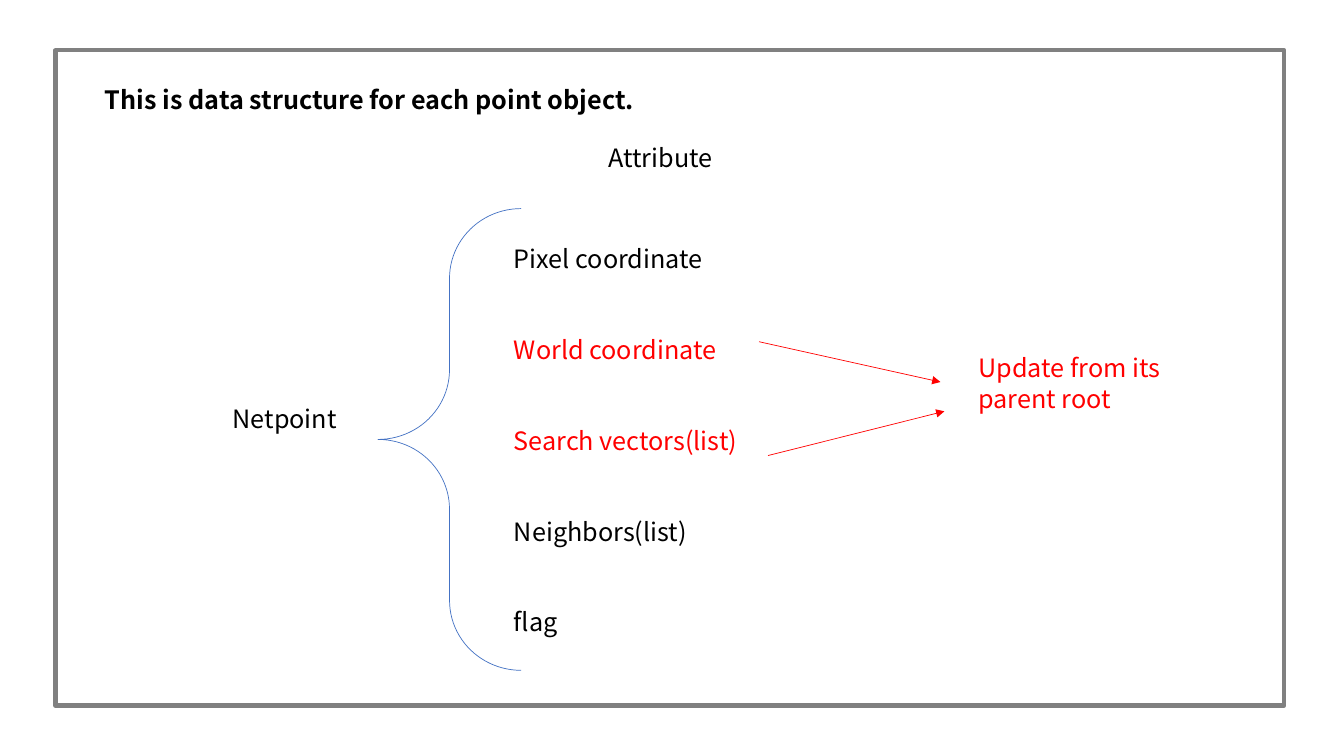
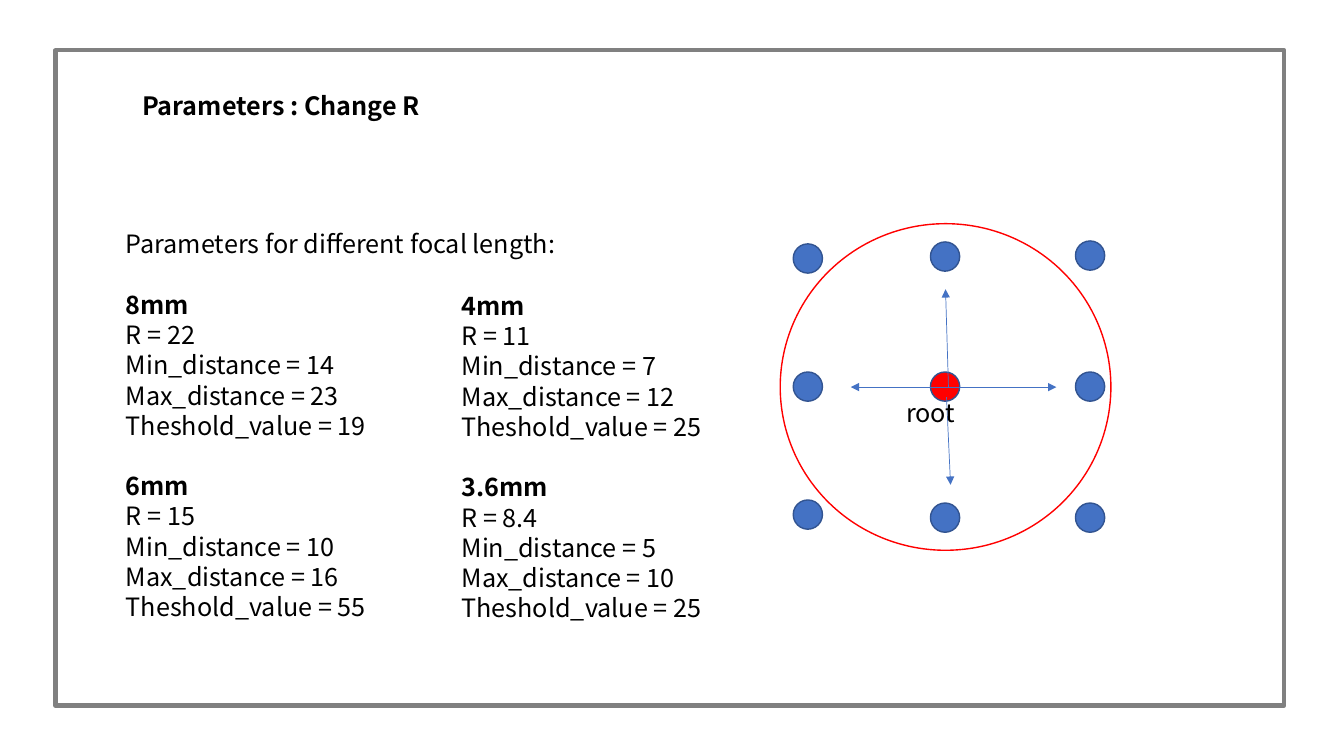
import pptx
import pptx.dml.color
import pptx.enum.shapes
import pptx.enum.text
import pptx.oxml.ns
import pptx.util
from dataclasses import dataclass
from lxml import etree

Pt = pptx.util.Pt
RGBColor = pptx.dml.color.RGBColor
Preset = pptx.enum.shapes.MSO_SHAPE

BLACK = RGBColor(0x00, 0x00, 0x00)
RED = RGBColor(0xFF, 0x00, 0x00)
BLUE = RGBColor(0x44, 0x72, 0xC4)
DARK_BLUE = RGBColor(0x32, 0x54, 0x91)
GRAY = RGBColor(0x80, 0x80, 0x80)

FONT = "Noto Sans CJK SC"
TEXT_SIZE = 18
LINE_HEIGHT = 21.6
TITLE_HEIGHT = 28.8
DOT_SIZE = 20.9
PARAMETER_NAMES = ("R", "Min_distance", "Max_distance", "Theshold_value")


@dataclass
class Line:
    text: str
    color: RGBColor = BLACK
    bold: bool = False
    gap: float = 0


class Deck:
    def __init__(self):
        self.presentation = pptx.Presentation()
        self.presentation.slide_width = Pt(960)
        self.presentation.slide_height = Pt(540)
        self.shapes = None

    def add_slide(self, title, left, top, width):
        layout = self.presentation.slide_layouts[5]
        slide = self.presentation.slides.add_slide(layout)
        self.shapes = slide.shapes
        placeholder = slide.shapes.title
        placeholder.left, placeholder.top = Pt(left), Pt(top)
        placeholder.width, placeholder.height = Pt(width), Pt(TITLE_HEIGHT)
        self.fill_text(placeholder.text_frame, [Line(title, bold=True)])
        self.add_shape(Preset.RECTANGLE, 39.6, 36, 877.7, 468, GRAY, 3)
        return slide

    def start_group(self):
        self.shapes = self.shapes.add_group_shape().shapes

    def fill_text(self, text_frame, lines):
        text_frame.word_wrap = True
        text_frame.auto_size = pptx.enum.text.MSO_AUTO_SIZE.SHAPE_TO_FIT_TEXT
        text_frame.vertical_anchor = pptx.enum.text.MSO_ANCHOR.TOP
        text_frame.text = "\n".join(line.text for line in lines)
        for paragraph, line in zip(text_frame.paragraphs, lines):
            paragraph.alignment = pptx.enum.text.PP_ALIGN.LEFT
            paragraph.line_spacing = Pt(LINE_HEIGHT)
            paragraph.space_before = Pt(line.gap)
            for run in paragraph.runs:
                run.font.name = FONT
                run.font.size = Pt(TEXT_SIZE)
                run.font.bold = line.bold
                run.font.color.rgb = line.color

    def add_text(self, left, top, width, height, *lines):
        box = self.shapes.add_textbox(Pt(left), Pt(top), Pt(width), Pt(height))
        self.fill_text(box.text_frame, lines)

    def add_shape(self, preset, left, top, width, height, line_color, line_width, fill=None):
        shape = self.shapes.add_shape(preset, Pt(left), Pt(top), Pt(width), Pt(height))
        shape.shadow.inherit = False
        shape.line.color.rgb = line_color
        shape.line.width = Pt(line_width)
        if fill is None:
            shape.fill.background()
        else:
            shape.fill.solid()
            shape.fill.fore_color.rgb = fill
        return shape

    def add_arrow(self, start, end, color):
        connector = self.shapes.add_connector(
            pptx.enum.shapes.MSO_CONNECTOR.STRAIGHT, *map(Pt, start + end))
        connector.line.color.rgb = color
        connector.line.width = Pt(0.5)
        qn = pptx.oxml.ns.qn
        properties = connector.element.find(qn("p:spPr"))
        etree.SubElement(properties.find(qn("a:ln")), qn("a:tailEnd"), type="triangle")
        etree.SubElement(properties, qn("a:effectLst"))


def lens_lines(name, values, gap=0):
    settings = [Line(f"{label} = {value}") for label, value in zip(PARAMETER_NAMES, values)]
    return [Line(name, bold=True, gap=gap)] + settings


def build_data_structure(deck):
    deck.add_slide("This is data structure for each point object.", 67.7, 56.9, 455)
    brace = deck.add_shape(Preset.LEFT_BRACE, 270, 149, 102.2, 329.8, BLUE, 0.5)
    brace.adjustments[0] = 0.488
    deck.add_text(159.1, 284.4, 95.8, 28.8, Line("Netpoint"))
    deck.add_text(427.7, 97.9, 95.8, 28.8, Line("Attribute"))
    gap = 2 * LINE_HEIGHT
    deck.add_text(
        360, 170.6, 248.4, 290.9,
        Line("Pixel coordinate"),
        Line("World coordinate", RED, gap=gap),
        Line("Search vectors(list)", RED, gap=gap),
        Line("Neighbors(list)", gap=gap),
        Line("flag", gap=gap))
    deck.add_text(691.9, 248.4, 157.7, 51.1, Line("Update from its parent root", RED))
    deck.add_arrow((542.2, 244.1), (671.8, 272.9), RED)
    deck.add_arrow((548.6, 325.4), (674.6, 293.8), RED)


def build_parameters(deck):
    slide = deck.add_slide("Parameters : Change R", 94.3, 61.2, 275)
    deck.start_group()
    dot_columns = {
        566.6: (174.2, 265.7, 357.1),
        664.6: (172.8, 265.7, 359.3),
        768.2: (172.1, 265.7, 359.3),
    }
    root = (664.6, 265.7)
    for left, tops in dot_columns.items():
        for top in tops:
            fill = RED if (left, top) == root else BLUE
            deck.add_shape(Preset.OVAL, left, top, DOT_SIZE, DOT_SIZE, DARK_BLUE, 1, fill)
    deck.add_shape(Preset.OVAL, 557.3, 159.8, 236.2, 233.3, RED, 1)
    for start, end in (
        ((664.6, 276.5), (754.6, 276.5)),
        ((677.5, 276.5), (675.4, 206.6)),
        ((664.6, 276.5), (607.7, 276.5)),
        ((676.1, 283.7), (679, 346.3)),
    ):
        deck.add_arrow(start, end, BLUE)
    deck.add_text(640.1, 280.1, 188.6, 36.7, Line("root"))

    deck.shapes = slide.shapes
    deck.add_text(
        82.8, 159.8, 350.6, 312.5,
        Line("Parameters for different focal length:"),
        *lens_lines("8mm", (22, 14, 23, 19), LINE_HEIGHT),
        *lens_lines("6mm", (15, 10, 16, 55), LINE_HEIGHT))
    deck.add_text(
        322.6, 203.8, 275, 269.3,
        *lens_lines("4mm", (11, 7, 12, 25)),
        *lens_lines("3.6mm", (8.4, 5, 10, 25), LINE_HEIGHT))


def main():
    deck = Deck()
    build_data_structure(deck)
    build_parameters(deck)
    deck.presentation.save("out.pptx")


if __name__ == "__main__":
    main()
